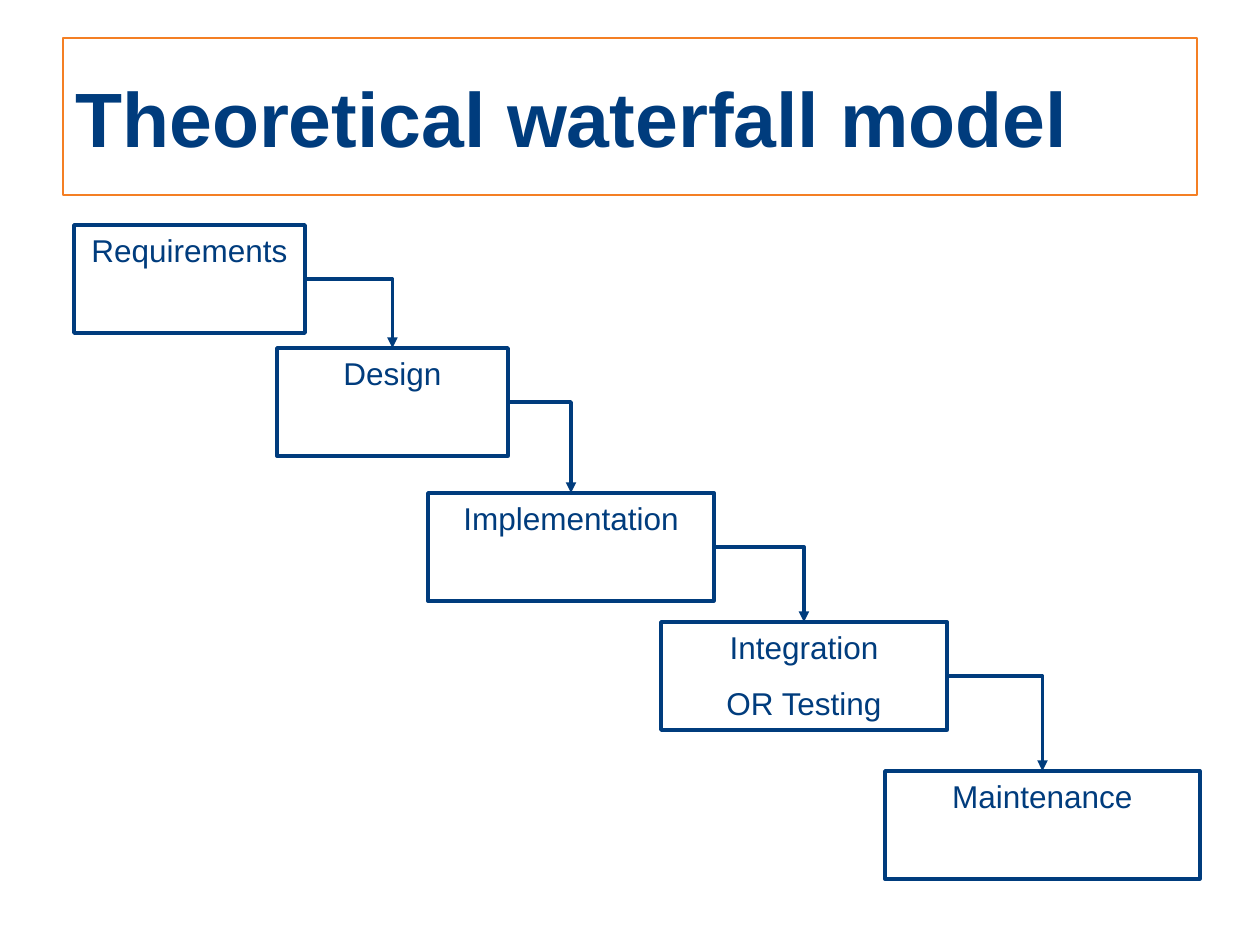
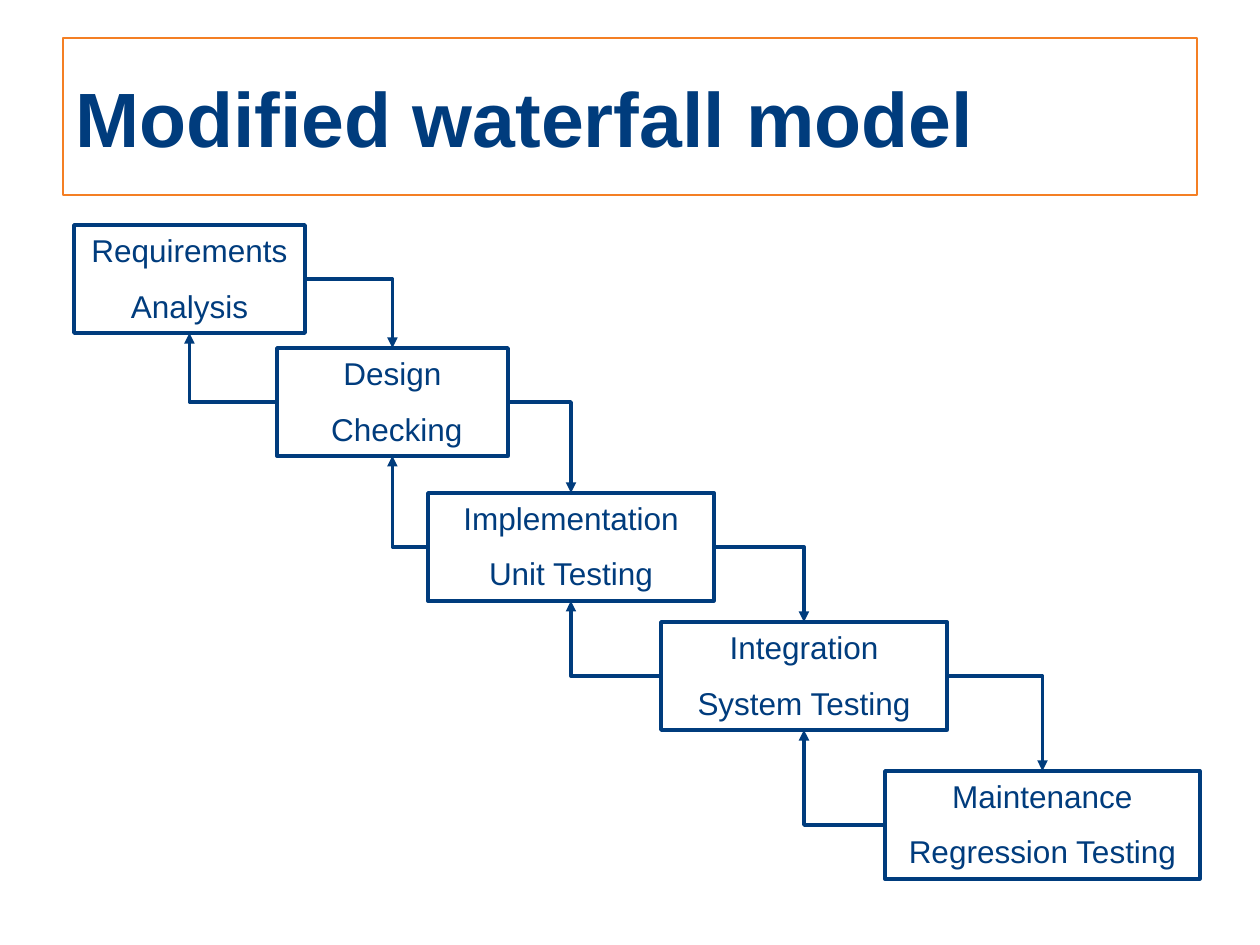
from dataclasses import dataclass
from itertools import pairwise

from lxml import etree
from pptx import Presentation
from pptx.dml.color import RGBColor
from pptx.enum.shapes import MSO_CONNECTOR, MSO_SHAPE
from pptx.enum.text import MSO_ANCHOR, PP_ALIGN
from pptx.oxml.ns import qn
from pptx.util import Emu, Pt

RECT = MSO_SHAPE.RECTANGLE
ELBOW = MSO_CONNECTOR.ELBOW
LEFT, CENTER = PP_ALIGN.LEFT, PP_ALIGN.CENTER
TOP, MIDDLE = MSO_ANCHOR.TOP, MSO_ANCHOR.MIDDLE
NORTH, WEST, SOUTH, EAST = range(4)


@dataclass(frozen=True)
class Theme:
    """Colours in RGB, type sizes and line widths in points."""
    navy: RGBColor = RGBColor(0x00, 0x3C, 0x7D)
    orange: RGBColor = RGBColor(0xF4, 0x7F, 0x24)
    font: str = "Arial"
    title: int = 44
    body: int = 18
    gap: int = 10
    thin: int = 1
    thick: int = 2


THEME = Theme()
PAGE = (1260, 945)
HEAD = (63, 38, 1134, 157)
FLOW = (74, 225)
HIGH = 108
STEPS = [(0, 0, 231), (203, 123, 231), (354, 268, 286),
         (587, 397, 286), (811, 546, 315)]


def px(num):
    """Turn pixels, 126 to the inch, into EMU."""
    return Emu(round(num * 914400 / 126))


def write(frame, lines, size, bold, align):
    """Write one paragraph for each line into a text frame."""
    frame.word_wrap = True
    for num, line in enumerate(lines):
        para = frame.paragraphs[0] if num == 0 else frame.add_paragraph()
        para.alignment = align
        if num:
            para.space_before = Pt(THEME.gap)
        run = para.add_run()
        run.text = line
        run.font.name = THEME.font
        run.font.size = Pt(size)
        run.font.bold = bold
        run.font.color.rgb = THEME.navy


def frame_box(slide, box, color, width, anchor):
    """Draw an unfilled, outlined rectangle."""
    shape = slide.shapes.add_shape(RECT, *map(px, box))
    shape.shadow.inherit = False
    shape.fill.background()
    shape.line.color.rgb = color
    shape.line.width = Pt(width)
    shape.text_frame.vertical_anchor = anchor
    return shape


def header(slide, box, text):
    """Draw the framed slide title."""
    shape = frame_box(slide, box, THEME.orange, THEME.thin, MIDDLE)
    write(shape.text_frame, [text], THEME.title, True, LEFT)


def stage(slide, box, lines):
    """Draw one stage of the waterfall."""
    shape = frame_box(slide, box, THEME.navy, THEME.thick, TOP)
    write(shape.text_frame, lines, THEME.body, False, CENTER)
    return shape


def arrow(slide, start, side, end, goal):
    """Join two stages with an arrow of one bend."""
    link = slide.shapes.add_connector(ELBOW, 0, 0, 0, 0)
    link.begin_connect(start, side)
    link.end_connect(end, goal)
    link.line.color.rgb = THEME.navy
    link.line.width = Pt(THEME.thick)
    props = link._element.spPr
    props.find(qn("a:prstGeom")).set("prst", "bentConnector2")
    tail = etree.SubElement(props.find(qn("a:ln")), qn("a:tailEnd"))
    tail.set("type", "triangle")
    etree.SubElement(props, qn("a:effectLst"))


def cascade(slide, origin, names, back):
    """Draw the stages from an origin, with arrows down and maybe back."""
    left, top = origin
    boxes = [stage(slide, (left + x, top + y, wide, HIGH), lines)
             for (x, y, wide), lines in zip(STEPS, names)]
    for prev, step in pairwise(boxes):
        arrow(slide, prev, EAST, step, NORTH)
        if back:
            arrow(slide, step, WEST, prev, SOUTH)


def model(deck, title, names, back):
    """Add a slide that shows one waterfall model."""
    slide = deck.slides.add_slide(deck.slide_layouts[6])
    header(slide, HEAD, title)
    cascade(slide, FLOW, names, back)


def main():
    """Build and save the deck."""
    deck = Presentation()
    deck.slide_width, deck.slide_height = map(px, PAGE)
    model(deck, "Theoretical waterfall model",
          [["Requirements"], ["Design"], ["Implementation"],
           ["Integration", "OR Testing"], ["Maintenance"]], False)
    model(deck, "Modified waterfall model",
          [["Requirements", "Analysis"], ["Design", " Checking"],
           ["Implementation", "Unit Testing"],
           ["Integration", "System Testing"],
           ["Maintenance", "Regression Testing"]], True)
    deck.save("out.pptx")


if __name__ == "__main__":
    main()
